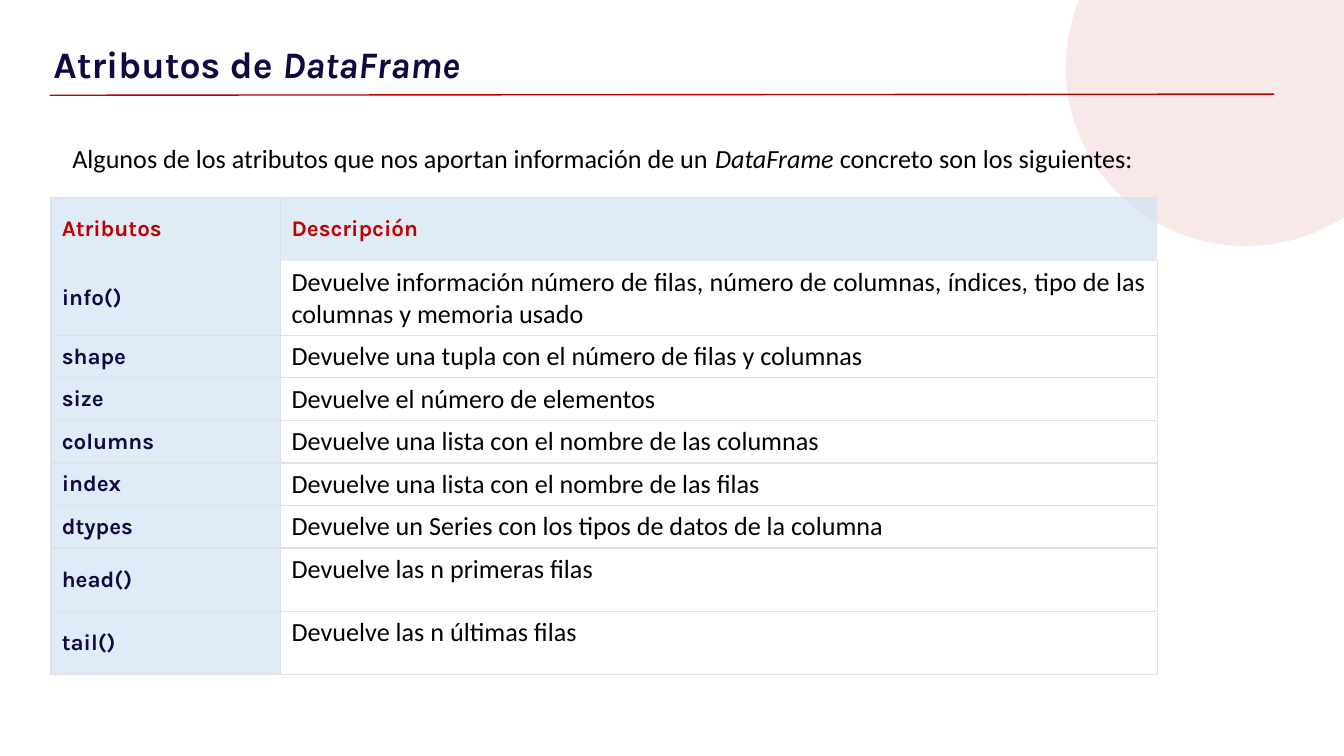
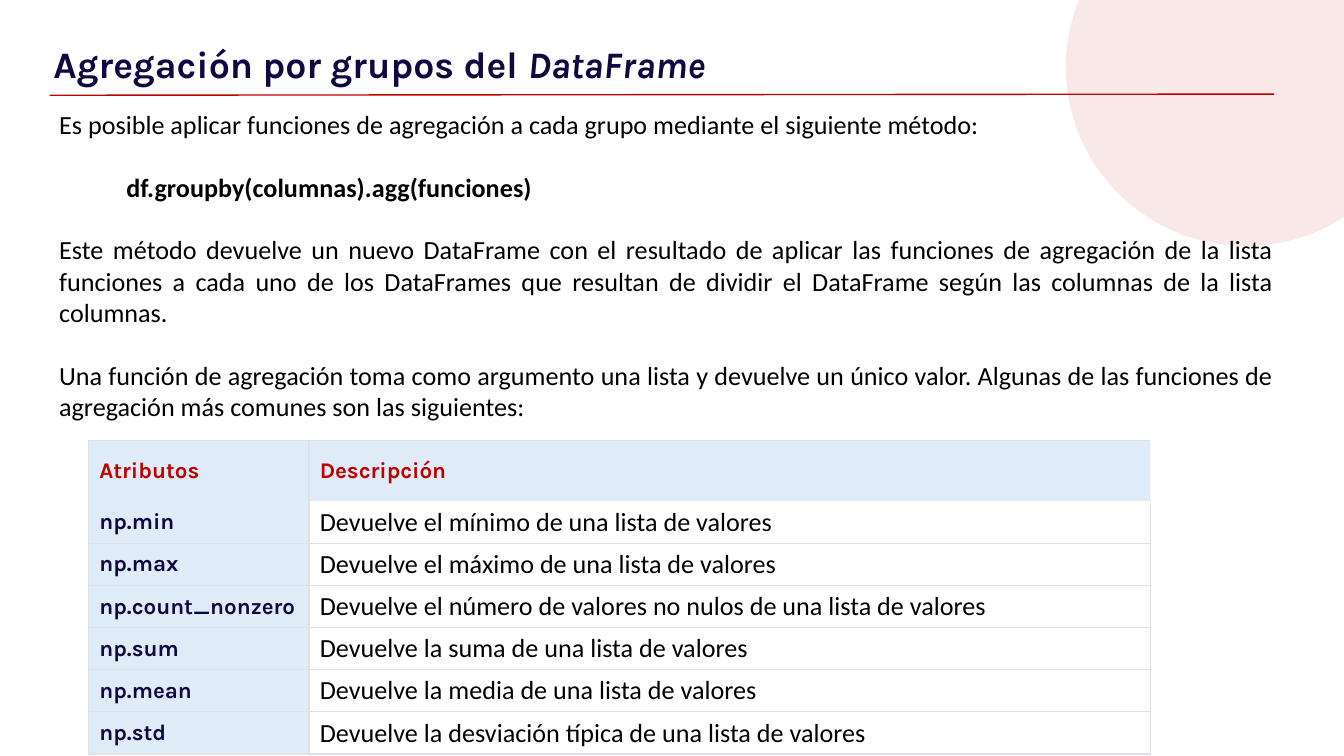
from lxml.etree import SubElement
from pptx import Presentation
from pptx.dml.color import RGBColor
from pptx.enum.shapes import MSO_CONNECTOR as CONN, MSO_SHAPE as SHAPE
from pptx.enum.text import MSO_ANCHOR as ANCHOR, PP_ALIGN as ALIGN
from pptx.oxml.ns import qn
from pptx.util import Inches, Pt

RED = RGBColor(0xC0, 0x00, 0x00)
NAVY = RGBColor(0x11, 0x07, 0x41)
BLACK = RGBColor(0x00, 0x00, 0x00)
WHITE = RGBColor(0xFF, 0xFF, 0xFF)
PALE_BLUE = RGBColor(0xCF, 0xE2, 0xF3)
GREY = RGBColor(0xDE, 0xE2, 0xE6)
HEAD_FONT, BODY_FONT = "Karla", "Calibri"

prs = Presentation()
prs.slide_width = Inches(10)
prs.slide_height = prs.slide_width * 9 // 16
COL, ROW = prs.slide_width / 100, prs.slide_height / 100


def grid(*cells):
    return [round(n * unit) for n, unit in zip(cells, (COL, ROW, COL, ROW))]


def write(p, text, size, font, color, bold=False):
    for i, part in enumerate(text.split("*")):
        if part:
            r = p.add_run()
            r.text = part
            r.font.size, r.font.name, r.font.bold = Pt(size), font, bold
            r.font.italic = i % 2 == 1
            r.font.color.rgb = color


HEADER = ("Atributos", "Descripción")
PAGES = [
    dict(
        title="Atributos de *DataFrame*",
        text_at=(4.4, 17.05, 82.3, 7.82), inset=(0.1, 0.1), align=ALIGN.LEFT,
        text=["Algunos de los atributos que nos aportan información de un "
              "*DataFrame* concreto son los siguientes:"],
        table_at=(3.8, 26.08), cols=(17.1, 65.2),
        rows=[8.5, 9.78] + [5.63] * 5 + [8.38] * 2,
        cells=[
            HEADER,
            ("info()", "Devuelve información número de filas, número de columnas, "
                       "índices, tipo de las columnas y memoria usado"),
            ("shape", "Devuelve una tupla con el número de filas y columnas"),
            ("size", "Devuelve el número de elementos"),
            ("columns", "Devuelve una lista con el nombre de las columnas"),
            ("index", "Devuelve una lista con el nombre de las filas"),
            ("dtypes", "Devuelve un Series con los tipos de datos de la columna"),
            ("head()", "Devuelve las n primeras filas"),
            ("tail()", "Devuelve las n últimas filas"),
        ],
    ),
    dict(
        title="Agregación por grupos del *DataFrame*",
        text_at=(3.7, 13.6, 91.8, 44.8), inset=(0.07, 0.04), align=ALIGN.JUSTIFY,
        text=["Es posible aplicar funciones de agregación a cada grupo mediante "
              "el siguiente método:",
              "df.groupby(columnas).agg(funciones)",
              "Este método devuelve un nuevo DataFrame con el resultado de aplicar "
              "las funciones de agregación de la lista funciones a cada uno de los "
              "DataFrames que resultan de dividir el DataFrame según las columnas "
              "de la lista columnas.",
              "Una función de agregación toma como argumento una lista y devuelve "
              "un único valor. Algunas de las funciones de agregación más comunes "
              "son las siguientes:"],
        table_at=(6.6, 58.3), cols=(16.4, 62.6),
        rows=[8] + [5.55] * 6,
        cells=[
            HEADER,
            ("np.min", "Devuelve el mínimo de una lista de valores"),
            ("np.max", "Devuelve el máximo de una lista de valores"),
            ("np.count_nonzero",
             "Devuelve el número de valores no nulos de una lista de valores"),
            ("np.sum", "Devuelve la suma de una lista de valores"),
            ("np.mean", "Devuelve la media de una lista de valores"),
            ("np.std", "Devuelve la desviación típica de una lista de valores"),
        ],
    ),
]

tints = []
for page in PAGES:
    s = prs.slides.add_slide(prs.slide_layouts[6])

    circle = s.shapes.add_shape(SHAPE.OVAL, *grid(79.3, -14.75, 26.8, 47.3))
    circle.shadow.inherit = False
    circle.line.fill.background()
    circle.fill.solid()
    circle.fill.fore_color.rgb = RED
    tints.append((circle._element.spPr, 9))

    rule = s.shapes.add_connector(CONN.STRAIGHT, *grid(3.7, 12.6, 94.8, 12.45))
    rule.line.color.rgb, rule.line.width = RED, Pt(0.75)
    SubElement(rule._element.spPr, qn("a:effectLst"))

    title = s.shapes.add_textbox(*grid(3, 0, 86, 10.14))
    tf = title.text_frame
    tf.word_wrap = True
    tf.margin_top, tf.margin_bottom = Inches(0.31), 0
    write(tf.paragraphs[0], page["title"], 20, HEAD_FONT, NAVY, True)

    left, top = page["table_at"]
    frame = s.shapes.add_table(len(page["rows"]), 2, *grid(
        left, top, sum(page["cols"]), sum(page["rows"])))
    table = frame.table
    table.first_row = table.horz_banding = False
    for column, width in zip(table.columns, page["cols"]):
        column.width = round(width * COL)
    for i, (row, height) in enumerate(zip(table.rows, page["rows"])):
        row.height = round(height * ROW)
        for j, cell in enumerate(row.cells):
            tinted = i == 0 or j == 0
            cell.margin_left = cell.margin_right = Inches(0.08)
            cell.margin_top = cell.margin_bottom = Inches(0.04)
            cell.vertical_anchor = ANCHOR.MIDDLE if tinted else ANCHOR.TOP
            tcPr = cell._tc.get_or_add_tcPr()
            hidden = {0: "B" if j == 0 else "RB", 1: "T"}.get(i, "")
            for side in "LRTB":
                ln = SubElement(tcPr, qn("a:ln" + side), w=str(Pt(0.75)))
                if side in hidden:
                    SubElement(ln, qn("a:noFill"))
                else:
                    fill = SubElement(ln, qn("a:solidFill"))
                    SubElement(fill, qn("a:srgbClr"), val=str(GREY))
            cell.fill.solid()
            cell.fill.fore_color.rgb = PALE_BLUE if tinted else WHITE
            p = cell.text_frame.paragraphs[0]
            text = page["cells"][i][j]
            if tinted:
                write(p, text, 12, HEAD_FONT, NAVY if i else RED, True)
                tints.append((tcPr, 65))
            else:
                p.alignment = ALIGN.JUSTIFY if text.startswith("Devuelve información") else ALIGN.LEFT
                write(p, text, 14, BODY_FONT, BLACK)

    body = s.shapes.add_textbox(*grid(*page["text_at"]))
    tf = body.text_frame
    tf.word_wrap = True
    tf.margin_left = tf.margin_right = Inches(page["inset"][0])
    tf.margin_top = tf.margin_bottom = Inches(page["inset"][1])
    for i, text in enumerate(page["text"]):
        p = tf.paragraphs[0] if i == 0 else tf.add_paragraph()
        p.alignment = page["align"]
        if i:
            p.space_before = Pt(16.8)
        is_code = text.startswith("df.")
        if is_code:
            p._p.get_or_add_pPr().set("indent", str(Inches(0.5)))
        write(p, text, 14, BODY_FONT, BLACK, is_code)

for props, percent in tints:
    color = props.find(qn("a:solidFill")).find(qn("a:srgbClr"))
    SubElement(color, qn("a:alpha"), val=str(percent * 1000))

prs.save("out.pptx")
